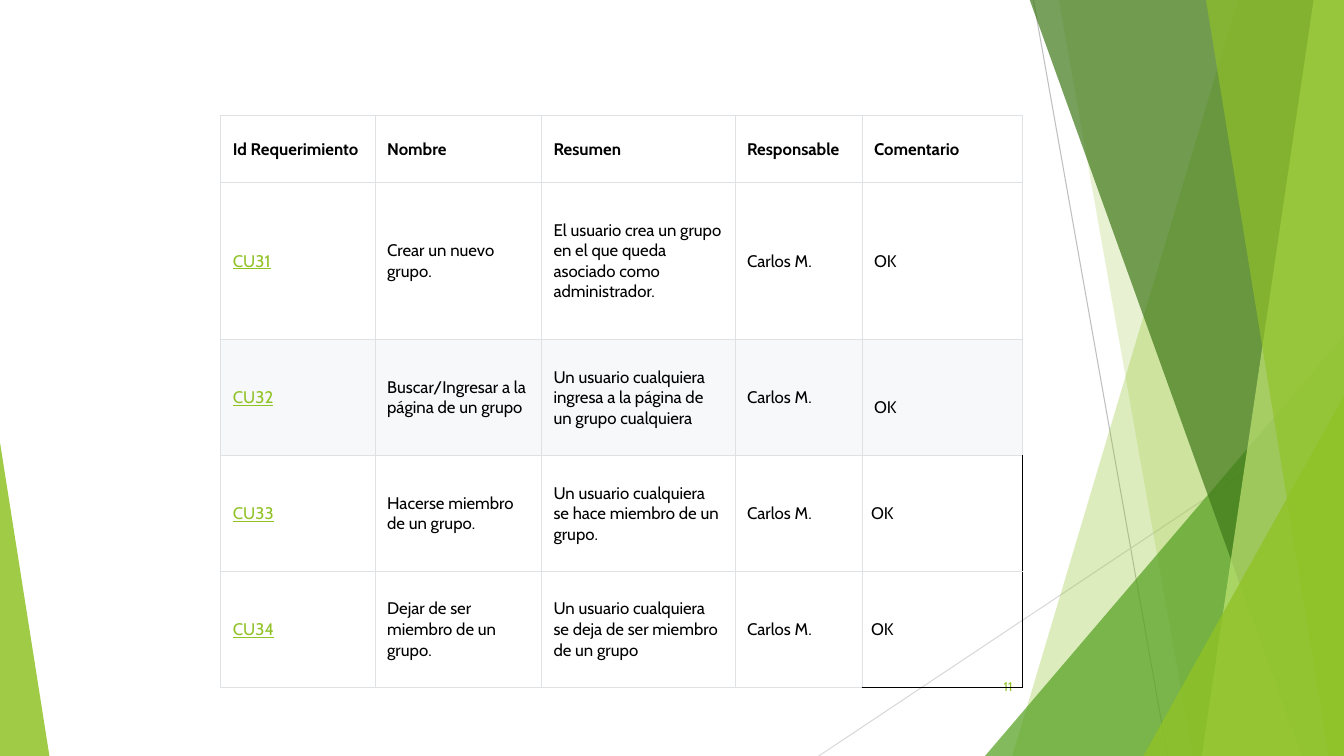
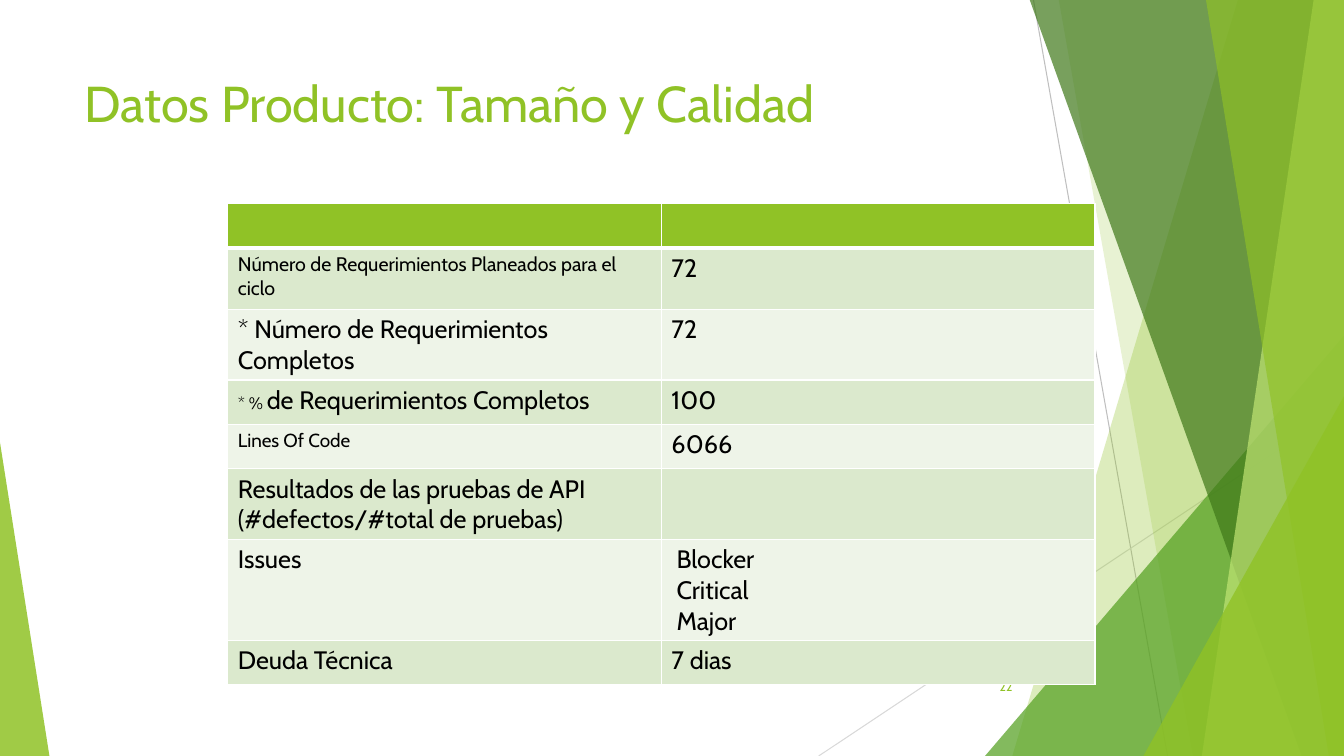
from lxml import etree
from pptx import Presentation
from pptx.dml.color import RGBColor
from pptx.enum.shapes import MSO_CONNECTOR, MSO_SHAPE
from pptx.enum.text import MSO_ANCHOR, PP_ALIGN
from pptx.oxml.ns import qn
from pptx.util import Inches, Pt

FONT = "Cabin"
COLORS = {
    "lime": "90C226",
    "green": "54A021",
    "forest": "3F7819",
    "pale": "C0E474",
    "gray": "BFBFBF",
    "light gray": "D9D9D9",
    "rule": "DFE2E5",
    "stripe": "F6F8FA",
    "band dark": "DBE9CD",
    "band light": "EEF4E8",
    "white": "FFFFFF",
    "black": "000000",
}
RGB = {name: RGBColor.from_string(value) for name, value in COLORS.items()}
WIDTH, HEIGHT, TOP = 13.33, 7.5, -0.01

# from x, y, to x, y, colour
RAYS = [
    (10.25, 0, 11.58, 7.5, "gray"),
    (13.33, 4.03, 8.12, 7.5, "light gray"),
]
# Bands run to the right edge: (top x, bottom x).
# Triangles: (left, top, width, height, apex).
FACETS = [
    ((12.28, 10.04), "lime", 30),
    ((10.5, 11.83), "lime", 20),
    ((9.77, 3.33, 3.56, 4.17, 1), "green", 72),
    ((10.21, 12.91), "forest", 70),
    ((13.03, 11.92), "pale", 70),
    ((11.96, 13.18), "lime", 65),
    ((11.34, 3.93, 1.99, 3.57, 1), "lime", 80),
    ((0, 4.39, 0.49, 3.11, 0), "lime", 85),
]


def add_base_slide(number):
    """Add a slide with the faceted background and its page number."""
    slide = prs.slides.add_slide(prs.slide_layouts[6])
    shapes = slide.shapes
    for x1, y1, x2, y2, color in RAYS:
        ray = shapes.add_connector(
            MSO_CONNECTOR.STRAIGHT, Inches(x1), Inches(y1), Inches(x2), Inches(y2))
        ray.line.color.rgb = RGB[color]
        ray.line.width = Pt(0.75)
        etree.SubElement(ray._element.spPr, qn("a:effectLst"))

    for outline, color, opacity in FACETS:
        if len(outline) == 2:
            top_x, bottom_x = outline
            builder = shapes.build_freeform(Inches(top_x), Inches(TOP))
            builder.add_line_segments(
                [(Inches(x), Inches(y)) for x, y in
                 [(WIDTH, TOP), (WIDTH, HEIGHT), (bottom_x, HEIGHT)]])
            facet = builder.convert_to_shape()
        else:
            *box, apex = outline
            facet = shapes.add_shape(
                MSO_SHAPE.ISOSCELES_TRIANGLE, *[Inches(v) for v in box])
            facet.adjustments[0] = apex
        facet.shadow.inherit = False
        facet.line.fill.background()
        facet.fill.solid()
        facet.fill.fore_color.rgb = RGB[color]
        tint = facet._element.spPr.find(qn("a:solidFill")).find(qn("a:srgbClr"))
        etree.SubElement(tint, qn("a:alpha"), val=str(opacity * 1000))

    page = shapes.add_textbox(Inches(9.39), Inches(6.61), Inches(0.75), Inches(0.4))
    page.text_frame.word_wrap = True
    page.text_frame.vertical_anchor = MSO_ANCHOR.MIDDLE
    paragraph = page.text_frame.paragraphs[0]
    paragraph.text = number
    paragraph.alignment = PP_ALIGN.RIGHT
    paragraph.font.name = FONT
    paragraph.font.size = Pt(9)
    paragraph.font.color.rgb = RGB["lime"]
    return slide


def add_plain_table(slide, left, top, widths, heights):
    """Add a table without header or banding style."""
    table = slide.shapes.add_table(
        len(heights), len(widths), Inches(left), Inches(top),
        Inches(sum(widths)), Inches(sum(heights))).table
    table.first_row = table.horz_banding = False
    for column, width in zip(table.columns, widths):
        column.width = Inches(width)
    for row, height in zip(table.rows, heights):
        row.height = Inches(height)
    return table


prs = Presentation()
prs.slide_width, prs.slide_height = Inches(WIDTH), Inches(HEIGHT)

# Requirements
REQUIREMENTS = [
    ("Id Requerimiento", "Nombre", "Resumen", "Responsable", "Comentario"),
    ("CU31", "Crear un nuevo grupo.",
     "El usuario crea un grupo en el que queda asociado como administrador.",
     "Carlos M.", "OK"),
    ("CU32", "Buscar/Ingresar a la página de un grupo",
     "Un usuario cualquiera ingresa a la página de un grupo cualquiera",
     "Carlos M.", "OK"),
    ("CU33", "Hacerse miembro de un grupo.",
     "Un usuario cualquiera se hace miembro de un grupo.", "Carlos M.", "OK"),
    ("CU34", "Dejar de ser miembro de un grupo.",
     "Un usuario cualquiera se deja de ser miembro de un grupo",
     "Carlos M.", "OK"),
]
requirements = add_plain_table(
    add_base_slide("11"), 2.19, 1.15,
    [1.53, 1.65, 1.92, 1.26, 1.59], [0.66, 1.56, 1.15, 1.15, 1.15])
borders = []  # (cell, {side: (colour, points)})
for r, texts in enumerate(REQUIREMENTS):
    for c, text in enumerate(texts):
        cell = requirements.cell(r, c)
        open_cell = c == 4 and r >= 3
        cell.vertical_anchor = MSO_ANCHOR.MIDDLE
        cell.margin_left = cell.margin_right = Inches(0.09 if open_cell else 0.12)
        cell.margin_top = cell.margin_bottom = Inches(0.04 if open_cell else 0.05)
        if (r, c) == (2, 4):
            cell.margin_top = Inches(0.25)
        paragraph = cell.text_frame.paragraphs[0]
        paragraph.text = text
        is_id = c == 0 and r > 0
        font = paragraph.font
        font.name, font.size = FONT, Pt(12)
        font.bold, font.underline = r == 0, is_id
        font.color.rgb = RGB["lime" if is_id else "black"]
        if open_cell:
            cell.fill.background()
        else:
            cell.fill.solid()
            cell.fill.fore_color.rgb = RGB["stripe" if r == 2 else "white"]
        sides = dict.fromkeys("LRTB", ("rule", 0.75))
        if open_cell:
            sides["R"] = ("black", 1)
            if r == 4:
                sides["B"] = ("black", 1.5)
        borders.append((cell, sides))

# Product data: each cell is a list of paragraphs, each a list of (text, size)
PRODUCT_DATA = [
    ([], []),
    ([[("Número de Requerimientos Planeados para el ciclo", 14)]], [[("72", 18)]]),
    ([[("* Número de Requerimientos Completos", 18)]], [[("72", 18)]]),
    ([[("* % ", 12), ("de Requerimientos Completos", 18)]], [[("100", 18)]]),
    ([[("Lines Of Code", 13.5)]], [[("6066", 18)]]),
    ([[("Resultados de las pruebas de API (#defectos/#total de pruebas)", 18)]], []),
    ([[("Issues", 18)]], [[(level, 18)] for level in ("Blocker", "Critical", "Major")]),
    ([[("Deuda Técnica", 18)]], [[("7 dias", 18)]]),
]
product_slide = add_base_slide("22")
title = product_slide.shapes.add_textbox(
    Inches(0.74), Inches(0.67), Inches(9.4), Inches(1.44))
title.text_frame.word_wrap = True
heading = title.text_frame.paragraphs[0]
heading.text = "Datos Producto: Tamaño y Calidad"
heading.font.name = FONT
heading.font.size = Pt(36)
heading.font.color.rgb = RGB["lime"]

product = add_plain_table(
    product_slide, 2.26, 2.02, [4.3, 4.3],
    [0.44, 0.61, 0.44, 0.44, 0.44, 0.6, 0.84, 0.44])
for r, contents in enumerate(PRODUCT_DATA):
    for c, lines in enumerate(contents):
        cell = product.cell(r, c)
        frame = cell.text_frame
        for i, runs in enumerate(lines):
            paragraph = frame.paragraphs[0] if i == 0 else frame.add_paragraph()
            paragraph.font.name = FONT
            paragraph.font.size = Pt(runs[-1][1])
            paragraph.font.color.rgb = RGB["black"]
            for text, size in runs:
                run = paragraph.add_run()
                run.text = text
                if len(runs) > 1:
                    run.font.size = Pt(size)
        if len(lines) > 1:
            cell.margin_left = Inches(0.15)
        cell.fill.solid()
        cell.fill.fore_color.rgb = RGB[
            "lime" if r == 0 else "band dark" if r % 2 else "band light"]
        sides = dict.fromkeys("LRTB", ("white", 1))
        if r < 2:
            sides["B" if r == 0 else "T"] = ("white", 3)
        borders.append((cell, sides))

for cell, sides in borders:
    properties = cell._tc.get_or_add_tcPr()
    for position, (side, (color, points)) in enumerate(sides.items()):
        edge = etree.Element(qn(f"a:ln{side}"), w=str(Pt(points)))
        fill = etree.SubElement(edge, qn("a:solidFill"))
        etree.SubElement(fill, qn("a:srgbClr"), val=COLORS[color])
        properties.insert(position, edge)

prs.save("out.pptx")
